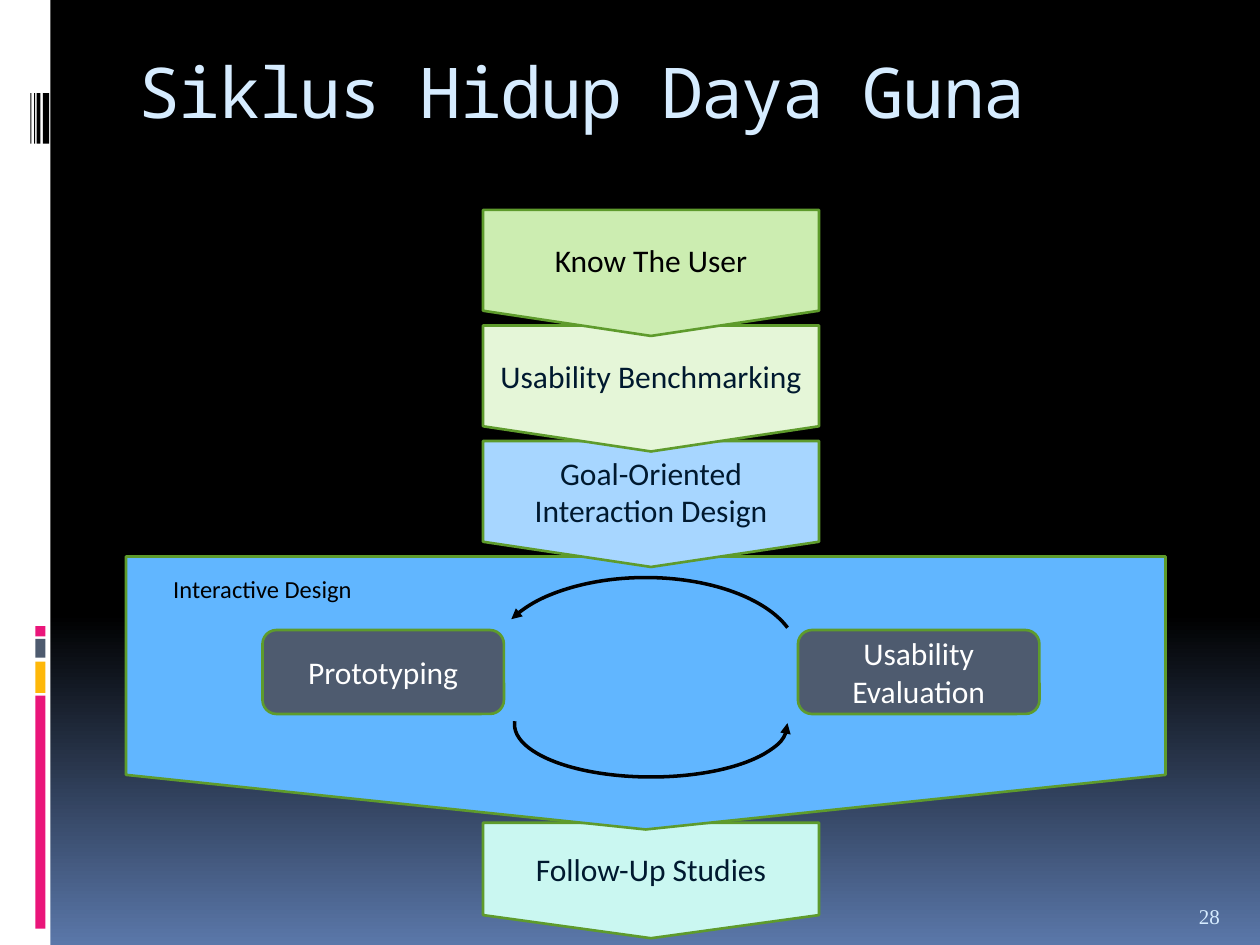
"""Build the usability life cycle slide on a grid of twelve units to the inch."""
from pptx import Presentation
from pptx.dml.color import RGBColor
from pptx.enum.shapes import MSO_SHAPE
from pptx.enum.text import MSO_ANCHOR, PP_ALIGN
from pptx.oxml.ns import qn
from pptx.util import Inches, Pt
from lxml.etree import SubElement

BLACK = RGBColor(0x00, 0x00, 0x00)
WHITE = RGBColor(0xFF, 0xFF, 0xFF)
DUSK = RGBColor(0x5A, 0x77, 0xA9)
PINK = RGBColor(0xEA, 0x15, 0x7A)
AMBER = RGBColor(0xFE, 0xB8, 0x0A)
SLATE = RGBColor(0x4E, 0x5B, 0x6F)
GREEN = RGBColor(0x5E, 0x9B, 0x2C)
LIME = RGBColor(0xCC, 0xED, 0xB1)
PALE_LIME = RGBColor(0xE5, 0xF6, 0xD8)
SKY = RGBColor(0xA7, 0xD6, 0xFF)
BLUE = RGBColor(0x61, 0xB6, 0xFF)
AQUA = RGBColor(0xCA, 0xF7, 0xF1)
NAVY = RGBColor(0x00, 0x19, 0x2F)
ICE = RGBColor(0xD6, 0xEC, 0xFF)

UNIT = Inches(1) / 12


def add_box(kind, *grid, fill=None, line=None, weight=1.5):
    left, top, width, height = (round(cells * UNIT) for cells in grid)
    if kind is None:
        return slide.shapes.add_textbox(left, top, width, height)
    shape = slide.shapes.add_shape(kind, left, top, width, height)
    shape.shadow.inherit = False
    for paint, color in ((shape.fill, fill), (shape.line.fill, line)):
        if color is None:
            paint.background()
        else:
            paint.solid()
            paint.fore_color.rgb = color
    if line is not None:
        shape.line.width = Pt(weight)
    return shape


def write_text(shape, text, size=18, font="Calibri", color=NAVY,
               align=PP_ALIGN.CENTER, anchor=MSO_ANCHOR.MIDDLE, spacing=0):
    frame = shape.text_frame
    frame.word_wrap = True
    frame.vertical_anchor = anchor
    paragraph = frame.paragraphs[0]
    paragraph.alignment = align
    run = paragraph.add_run()
    run.text = text
    run.font.size = Pt(size)
    run.font.name = font
    run.font.color.rgb = color
    if spacing:
        run.font._element.set("spc", str(spacing * 100))


presentation = Presentation()
presentation.slide_width = Inches(10)
presentation.slide_height = Inches(7.5)
slide = presentation.slides.add_slide(presentation.slide_layouts[6])

background = slide.background.fill
background.gradient()
background.gradient_angle = 270
for stop, position, color in zip(background.gradient_stops, (0.65, 1), (BLACK, DUSK)):
    stop.position = position
    stop.color.rgb = color

add_box(MSO_SHAPE.RECTANGLE, 0, 0, 4.8, 90, fill=WHITE)
for top, height, color in ((66.24, 22.2, PINK), (63, 3, AMBER),
                           (60.84, 1.8, SLATE), (59.64, 0.96, PINK)):
    add_box(MSO_SHAPE.RECTANGLE, 3.36, top, 0.96, height, fill=color)
for left, width in ((4.08, 0.6), (3.5, 0.36), (3.24, 0.12), (2.88, 0.12)):
    add_box(MSO_SHAPE.RECTANGLE, left, 8.88, width, 4.8, fill=BLACK)

stages = (
    ("Follow-Up Studies", 46, 78.36, 32, 11, AQUA, NAVY),
    ("", 12, 53, 99, 26, BLUE, NAVY),
    ("Goal-Oriented Interaction Design", 46, 42, 32, 12, SKY, NAVY),
    ("Usability Benchmarking", 46, 31, 32, 12, PALE_LIME, NAVY),
    ("Know The User", 46, 20, 32, 12, LIME, BLACK),
)
for text, left, top, width, height, fill, color in stages:
    stage = add_box(MSO_SHAPE.FLOWCHART_OFFPAGE_CONNECTOR, left, top, width, height,
                    fill=fill, line=GREEN)
    if text:
        write_text(stage, text, color=color)

for text, left in (("Usability Evaluation", 76), ("Prototyping", 25)):
    activity = add_box(MSO_SHAPE.FLOWCHART_ALTERNATE_PROCESS, left, 60, 23, 8,
                       fill=SLATE, line=GREEN)
    write_text(activity, text, color=WHITE)

for grid, angles in (((47, 55, 29, 15), (195.4, 348.62)),
                     ((49, 64, 26, 10), (359.44, 181.38))):
    arc = add_box(MSO_SHAPE.ARC, *grid, line=BLACK, weight=2)
    for index, degrees in enumerate(angles):
        arc.adjustments[index] = degrees * 0.6
    SubElement(arc.line._get_or_add_ln(), qn("a:headEnd"), type="triangle")

write_text(add_box(None, 14, 54.12, 22, 4.08), "Interactive Design", size=14,
           color=BLACK, anchor=MSO_ANCHOR.TOP)
write_text(add_box(None, 12, 4, 102, 12), "Siklus Hidup Daya Guna", size=40,
           font="Noto Sans Mono", color=ICE, align=PP_ALIGN.LEFT,
           anchor=MSO_ANCHOR.TOP, spacing=-1)
write_text(add_box(None, 113, 84.24, 6, 4.8), "28", size=12, font="Times New Roman",
           color=ICE, align=PP_ALIGN.LEFT, anchor=MSO_ANCHOR.BOTTOM)

presentation.save("out.pptx")
